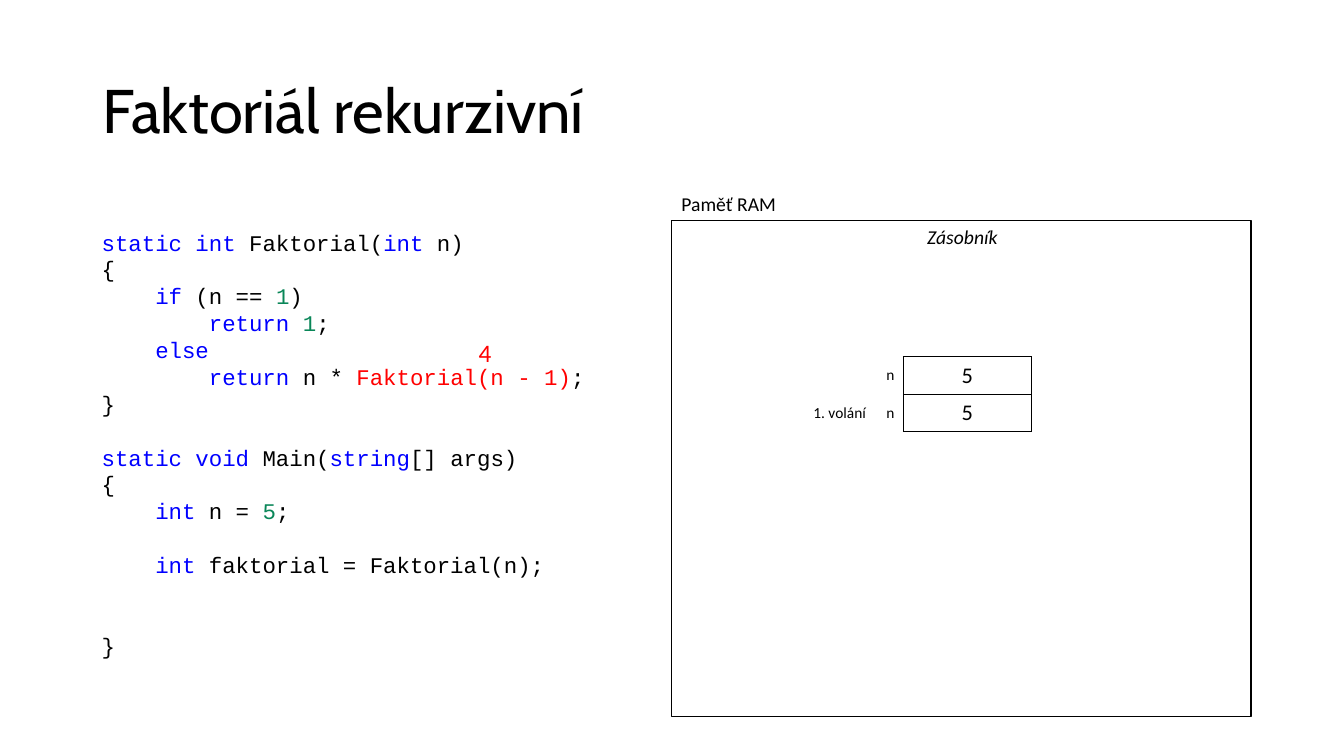
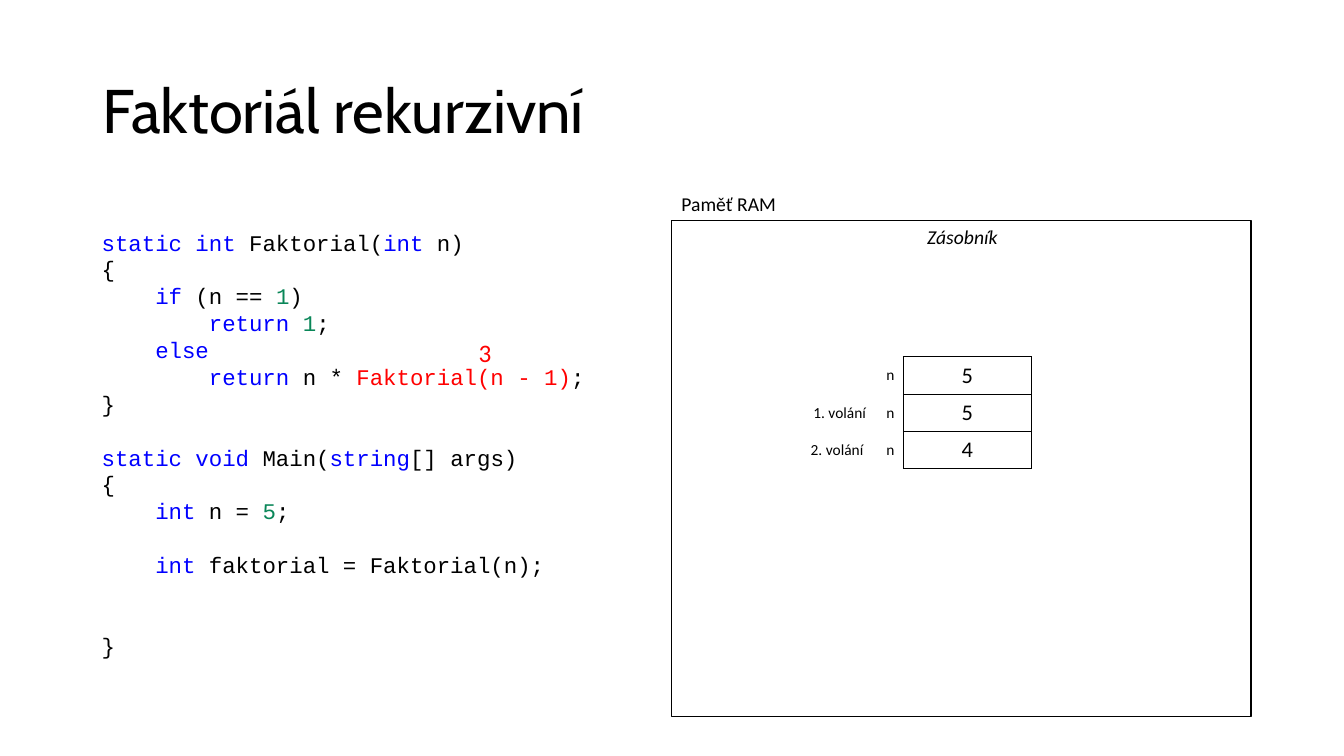
"""Build two slides that follow the call stack of a recursive factorial."""
from dataclasses import dataclass

from lxml.etree import SubElement
from pptx import Presentation
from pptx.dml.color import RGBColor
from pptx.enum.shapes import MSO_SHAPE
from pptx.enum.text import MSO_ANCHOR, PP_ALIGN
from pptx.oxml.ns import qn
from pptx.slide import Slide
from pptx.table import _Cell
from pptx.text.text import _Paragraph
from pptx.util import Inches, Pt

BLACK, WHITE, BLUE, GREEN, RED = "000000", "FFFFFF", "0000FF", "098658", "FF0000"
TITLE_FONT, BODY_FONT, CODE_FONT = "Cabin", "Calibri", "Courier New"
CODE_LINE = 19.2
ROW_HEIGHT = 0.37
COLUMN_WIDTHS = (0.75, 0.27, 1.27, 0.88)
VALUE_COLUMN = 2
PLAIN_TABLE_STYLE = "{2D5ABB26-0587-4C30-8999-92F81FD0307C}"


@dataclass(frozen=True)
class Span:
    """A piece of code in one colour."""
    text: str
    color: str = BLACK


@dataclass(frozen=True)
class CodeLine:
    """A line of code and the number of empty lines above it."""
    spans: tuple[Span, ...]
    gap: int = 0


@dataclass(frozen=True)
class Frame:
    """A row of the stack with its call label and value."""
    label: str
    value: str
    align: PP_ALIGN = PP_ALIGN.RIGHT


@dataclass(frozen=True)
class Step:
    """The state shown on one slide."""
    argument: str
    frames: tuple[Frame, ...]


CODE = (
    CodeLine((Span("static int ", BLUE), Span("Faktorial("), Span("int", BLUE), Span(" n)"))),
    CodeLine((Span("{"),)),
    CodeLine((Span("    if", BLUE), Span(" (n == "), Span("1", GREEN), Span(")"))),
    CodeLine((Span("        return ", BLUE), Span("1", GREEN), Span(";"))),
    CodeLine((Span("    else", BLUE),)),
    CodeLine((Span("        return", BLUE), Span(" n * "),
              Span("Faktorial(n - 1)", RED), Span(";"))),
    CodeLine((Span("}"),)),
    CodeLine((Span("static void ", BLUE), Span("Main("), Span("string", BLUE),
              Span("[] args)")), gap=1),
    CodeLine((Span("{"),)),
    CodeLine((Span("    int", BLUE), Span(" n = "), Span("5", GREEN), Span(";"))),
    CodeLine((Span("    int ", BLUE), Span("faktorial = Faktorial(n);")), gap=1),
    CodeLine((Span("}"),), gap=2),
)
FRAMES = (
    Frame("", "5"),
    Frame("1. volání", "5"),
    Frame("2. volání", "4", PP_ALIGN.LEFT),
)
STEPS = (Step("4", FRAMES[:2]), Step("3", FRAMES))


def rgb(color: str) -> RGBColor:
    """Turn a hex string into a colour."""
    return RGBColor.from_string(color)


def style(para: _Paragraph, size: float, font: str = BODY_FONT, color: str = BLACK,
          align: PP_ALIGN = PP_ALIGN.LEFT, italic: bool = False) -> None:
    """Set the alignment and font of a paragraph."""
    para.alignment = align
    para.font.size = Pt(size)
    para.font.name = font
    para.font.italic = italic
    para.font.color.rgb = rgb(color)


def add_text(page: Slide, text: str, left: float, top: float, width: float, height: float,
             size: float, **look) -> _Paragraph:
    """Add a wrapping text box and return its first paragraph."""
    box = page.shapes.add_textbox(Inches(left), Inches(top), Inches(width), Inches(height))
    box.text_frame.word_wrap = True
    para = box.text_frame.paragraphs[0]
    para.text = text
    style(para, size, **look)
    return para


def add_title(page: Slide, text: str) -> None:
    """Add the slide title."""
    box = page.shapes.add_textbox(Inches(0.92), Inches(0.4), Inches(11.5), Inches(1.45))
    box.text_frame.word_wrap = True
    box.text_frame.vertical_anchor = MSO_ANCHOR.MIDDLE
    para = box.text_frame.paragraphs[0]
    para.text = text
    para.line_spacing = 0.9
    style(para, 44, TITLE_FONT)


def add_memory(page: Slide) -> None:
    """Draw the memory area with its two captions."""
    area = page.shapes.add_shape(MSO_SHAPE.RECTANGLE, Inches(6.66), Inches(2.19),
                                 Inches(5.75), Inches(4.92))
    area.shadow.inherit = False
    area.fill.solid()
    area.fill.fore_color.rgb = rgb(WHITE)
    area.line.color.rgb = rgb(BLACK)
    area.line.width = Pt(1)
    add_text(page, "Paměť RAM", 6.66, 1.85, 5.75, 0.34, 14)
    add_text(page, "Zásobník", 6.67, 2.18, 5.75, 0.34, 14,
             align=PP_ALIGN.CENTER, italic=True)


def add_code(page: Slide) -> None:
    """Write the coloured program listing."""
    box = page.shapes.add_textbox(Inches(0.91), Inches(2.22), Inches(5.75), Inches(4.41))
    box.text_frame.word_wrap = True
    for index, line in enumerate(CODE):
        para = box.text_frame.add_paragraph() if index else box.text_frame.paragraphs[0]
        para.line_spacing = Pt(CODE_LINE)
        if line.gap:
            para.space_before = Pt(CODE_LINE * line.gap)
        style(para, 16, CODE_FONT)
        for span in line.spans:
            run = para.add_run()
            run.text = span.text
            run.font.color.rgb = rgb(span.color)


def set_borders(cell: _Cell, sides: str) -> None:
    """Draw black borders on the given sides (L, R, T, B) of a cell."""
    properties = cell._tc.get_or_add_tcPr()
    for side in sides:
        line = SubElement(properties, qn(f"a:ln{side}"), w=str(Pt(1)))
        fill = SubElement(line, qn("a:solidFill"))
        SubElement(fill, qn("a:srgbClr"), val=BLACK)


def add_stack(page: Slide, frames: tuple[Frame, ...]) -> None:
    """Add the stack table with one row for each frame."""
    graphic = page.shapes.add_table(
        len(frames), len(COLUMN_WIDTHS), Inches(7.94), Inches(3.54),
        Inches(sum(COLUMN_WIDTHS)), Inches(ROW_HEIGHT * len(frames)))
    table = graphic.table
    table.first_row = table.horz_banding = False
    for style_id in graphic.element.iter(qn("a:tableStyleId")):
        style_id.text = PLAIN_TABLE_STYLE
    for column, width in zip(table.columns, COLUMN_WIDTHS):
        column.width = Inches(width)
    for row, frame in zip(table.rows, frames):
        row.height = Inches(ROW_HEIGHT)
        texts = (frame.label, "n", frame.value, "")
        aligns = (frame.align, PP_ALIGN.RIGHT, PP_ALIGN.CENTER, PP_ALIGN.LEFT)
        borders = ("", "R", "LRTB", "L")
        for index, cell in enumerate(row.cells):
            cell.text = texts[index]
            cell.vertical_anchor = MSO_ANCHOR.MIDDLE
            cell.margin_top = cell.margin_bottom = 0
            set_borders(cell, borders[index])
            cell.fill.background()
            style(cell.text_frame.paragraphs[0], 16 if index == VALUE_COLUMN else 11,
                  align=aligns[index])


def add_step(page: Slide, step: Step) -> None:
    """Fill one slide."""
    add_title(page, "Faktoriál rekurzivní")
    add_memory(page)
    add_code(page)
    add_stack(page, step.frames)
    add_text(page, step.argument, 4.65, 3.3, 0.44, 0.4, 18, color=RED)


def main() -> None:
    """Build and save the deck."""
    deck = Presentation()
    deck.slide_width, deck.slide_height = Inches(13.33), Inches(7.5)
    for step in STEPS:
        add_step(deck.slides.add_slide(deck.slide_layouts[6]), step)
    deck.save("out.pptx")


if __name__ == "__main__":
    main()
